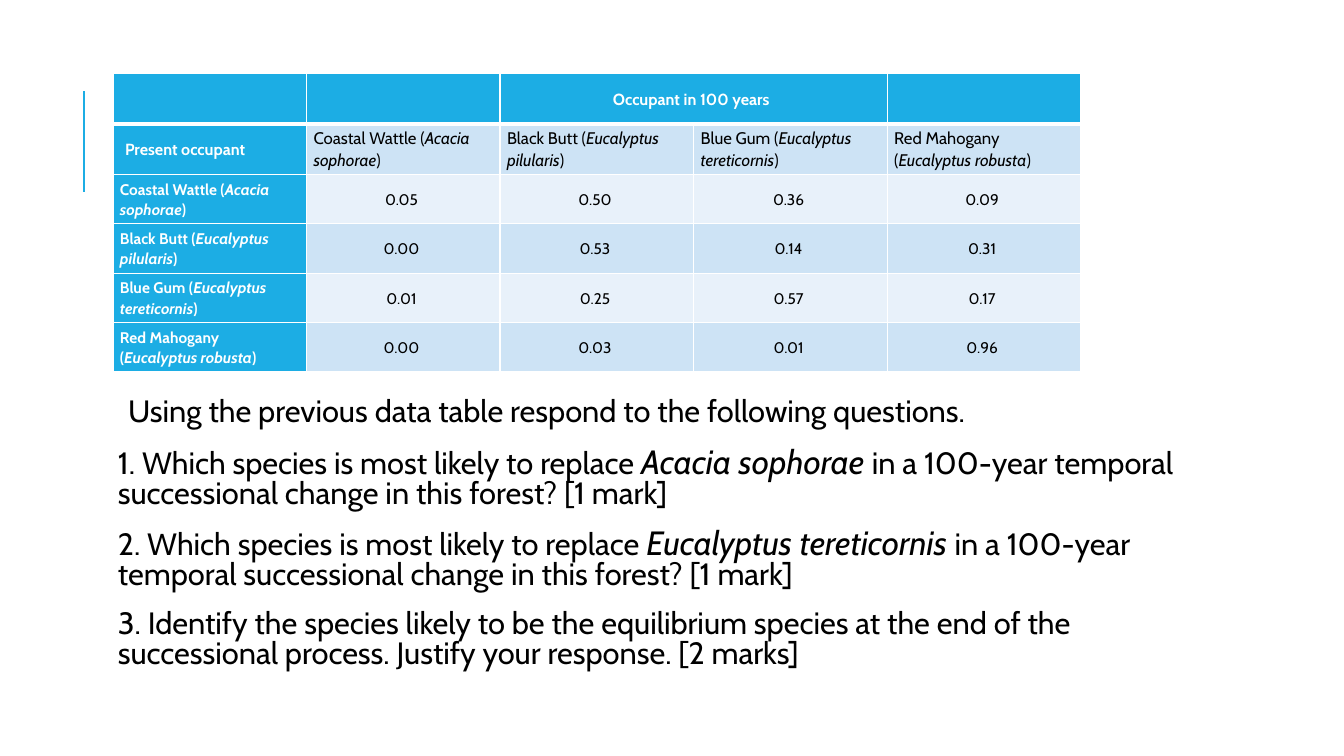
from lxml.etree import SubElement as Sub
from pptx import Presentation
from pptx.dml.color import RGBColor as RGB
from pptx.enum.shapes import MSO_CONNECTOR as Link
from pptx.enum.text import MSO_ANCHOR as Anchor, PP_ALIGN as Align
from pptx.oxml.ns import qn
from pptx.util import Pt

PX = 9144
THEME = {
    "font": "Cabin", "blue": "1CADE4", "white": "FFFFFF", "black": "000000",
    "bands": ("CDE3F5", "E8F1FA"),
    "body": 22, "latin": 24, "head": 11.5, "top": 12, "cell": 11,
}


def write(para, text, size, color="black", bold=False, slant=None,
          align=Align.LEFT, lead=1.07, left=0, hang=0):
    para.alignment = align
    para.line_spacing = lead
    prop = para._p.get_or_add_pPr()
    prop.set("marL", str(left * PX))
    prop.set("indent", str(hang * PX))
    for i, part in enumerate(text.split("*")):
        if part:
            run = para.add_run()
            run.text = part
            font = run.font
            font.name = THEME["font"]
            font.size = Pt(THEME[slant if slant and i % 2 else size])
            font.bold = bold
            font.italic = i % 2 == 1
            font.color.rgb = RGB.from_string(THEME[color])


deck = Presentation()
deck.slide_width, deck.slide_height = 1333 * PX, 750 * PX
slide = deck.slides.add_slide(deck.slide_layouts[6])
shapes = slide.shapes

rule = shapes.add_connector(Link.STRAIGHT, 83 * PX, 190 * PX, 83 * PX, 90 * PX)
rule.line.color.rgb = RGB.from_string(THEME["blue"])
rule.line.width = Pt(1.5)
Sub(rule._element.spPr, qn("a:effectLst"))

tasks = [
    "Using the previous data table respond to the following questions.",
    "1. Which species is most likely to replace *Acacia sophorae *in a 100-year temporal successional change in this forest? [1 mark]",
    "2. Which species is most likely to replace *Eucalyptus tereticornis *in a 100-year temporal successional change in this forest? [1 mark]",
    "3. Identify the species likely to be the equilibrium species at the end of the successional process. Justify your response. [2 marks]",
]
frame = shapes.add_textbox(112 * PX, 391 * PX, 1063 * PX, 299 * PX).text_frame
frame.word_wrap = True
frame.margin_left = frame.margin_right = 5 * PX
frame.margin_top = frame.margin_bottom = 5 * PX
for i, task in enumerate(tasks):
    para = frame.add_paragraph() if i else frame.paragraphs[0]
    para.space_before, para.space_after = Pt(12), Pt(2)
    write(para, task, "body", slant="latin", lead=0.8, left=0 if i else 10)

trees = [
    "Coastal Wattle (*Acacia sophorae*)",
    "Black Butt (*Eucalyptus pilularis*)",
    "Blue Gum (*Eucalyptus tereticornis*)",
    "Red Mahogany (*Eucalyptus robusta*)",
]
odds = [
    ["0.05 ", "0.50 ", "0.36 ", "0.09 "],
    ["0.00 ", "0.53 ", "0.14 ", "0.31 "],
    ["0.01 ", "0.25 ", "0.57 ", "0.17 "],
    ["0.00 ", "0.03 ", "0.01 ", "0.96 "],
]
rows = [["", "", "Occupant in 100 years ", "", ""], ["Present occupant"] + trees]
rows += [[tree] + line for tree, line in zip(trees, odds)]

table = shapes.add_table(6, 5, 112 * PX, 73 * PX, 960 * PX, 296 * PX).table
for col in table.columns:
    col.width = 192 * PX
for r, line in enumerate(rows):
    table.rows[r].height = (50 if r < 2 else 49) * PX
    for c, text in enumerate(line):
        cell = table.cell(r, c)
        cell.vertical_anchor = Anchor.MIDDLE
        cell.margin_left, cell.margin_right = 7 * PX, 8 * PX
        cell.margin_top = cell.margin_bottom = 0
        edge = cell._tc.get_or_add_tcPr()
        for side in "LRTB":
            thick = (side == "B" and r == 0) or (side == "T" and r == 1)
            ln = Sub(edge, qn("a:ln" + side), w=str(Pt(3 if thick else 1)))
            Sub(Sub(ln, qn("a:solidFill")), qn("a:srgbClr"), val=THEME["white"])
        head = r == 0 or c == 0
        fill = THEME["blue"] if head else THEME["bands"][(r + 1) % 2]
        cell.fill.solid()
        cell.fill.fore_color.rgb = RGB.from_string(fill)
        para = cell.text_frame.paragraphs[0]
        if r == 0:
            write(para, text, "head", "white", True, align=Align.CENTER)
        elif c == 0:
            write(para, text, "head" if r == 1 else "cell", "white", True,
                  left=5 if r == 1 else 0)
        elif r == 1:
            write(para, text, "top")
        else:
            write(para, text, "cell", align=Align.CENTER, left=1)
table.cell(0, 2).merge(table.cell(0, 3))

deck.save("out.pptx")
